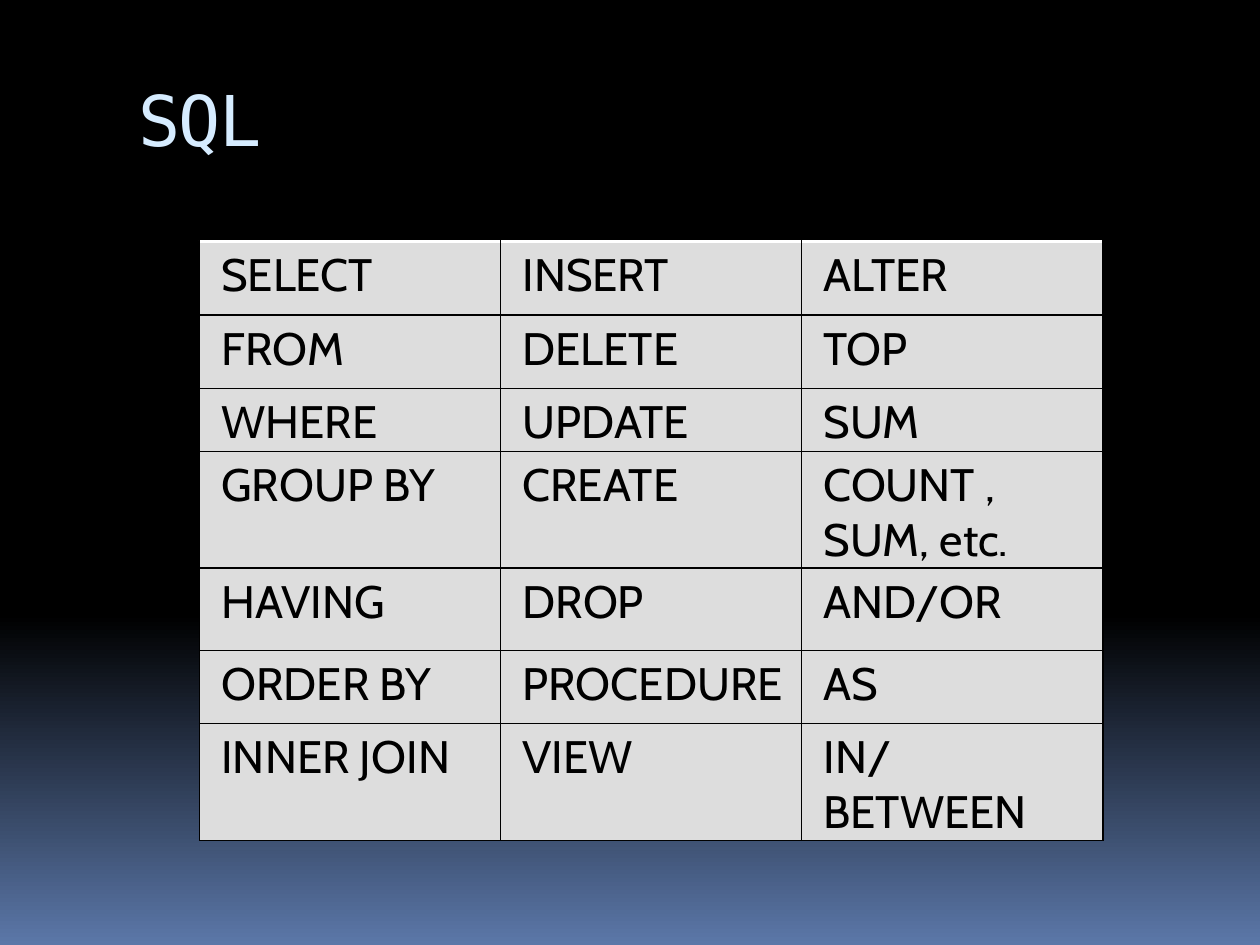
from dataclasses import dataclass

from lxml.etree import SubElement
from pptx import Presentation
from pptx.dml.color import RGBColor
from pptx.enum.shapes import MSO_SHAPE
from pptx.enum.text import MSO_ANCHOR
from pptx.oxml import parse_xml
from pptx.oxml.ns import nsdecls, qn
from pptx.slide import Slide
from pptx.table import _Cell
from pptx.util import Pt

COLORS = {
    "night": "000000",
    "horizon": "5B77A8",
    "title": "D6ECFF",
    "cell": "DDDDDD",
    "text": "000000",
    "border": "000000",
    "top_border": "FFFFFF",
}
COLUMN_WIDTH = 172.08


@dataclass(frozen=True)
class KeywordRow:
    height: float
    keywords: tuple[str, str, str]


@dataclass(frozen=True)
class Border:
    side: str
    color: str
    width: float


@dataclass(frozen=True)
class Bar:
    left: float
    width: float


BARS = [Bar(24.5, 3.6), Bar(21, 2.16), Bar(19.4, 0.72), Bar(17.3, 0.72)]
KEYWORD_ROWS = [
    KeywordRow(42, ("SELECT", "INSERT", "ALTER")),
    KeywordRow(41.9, ("FROM", "DELETE", "TOP")),
    KeywordRow(36, ("WHERE", "UPDATE", "SUM")),
    KeywordRow(66.8, ("GROUP BY", "CREATE", "COUNT , SUM, etc.")),
    KeywordRow(47, ("HAVING", "DROP", "AND/OR")),
    KeywordRow(41.75, ("ORDER BY", "PROCEDURE", "AS")),
    KeywordRow(66.8, ("INNER JOIN", "VIEW", "IN/BETWEEN")),
]


def set_background(slide: Slide) -> None:
    stops = ((0, "night"), (65, "night"), (100, "horizon"))
    stops_xml = "".join(
        f'<a:gs pos="{position * 1000}"><a:srgbClr val="{COLORS[name]}"/></a:gs>'
        for position, name in stops
    )
    background = parse_xml(
        f'<p:bg {nsdecls("p", "a")}><p:bgPr><a:gradFill rotWithShape="1">'
        f'<a:gsLst>{stops_xml}</a:gsLst><a:lin ang="5400000" scaled="0"/>'
        "</a:gradFill><a:effectLst/></p:bgPr></p:bg>"
    )
    slide.element.find(qn("p:cSld")).insert(0, background)


def add_bar(slide: Slide, bar: Bar) -> None:
    shape = slide.shapes.add_shape(
        MSO_SHAPE.RECTANGLE, Pt(bar.left), Pt(53.3), Pt(bar.width), Pt(28.8)
    )
    shape.shadow.inherit = False
    shape.fill.solid()
    shape.fill.fore_color.rgb = RGBColor.from_string(COLORS["night"])
    shape.line.fill.background()


def add_title(slide: Slide, text: str) -> None:
    frame = slide.shapes.add_textbox(Pt(72), Pt(40.32), Pt(612), Pt(72)).text_frame
    frame.word_wrap = True
    frame.vertical_anchor = MSO_ANCHOR.TOP
    frame.margin_top = Pt(3.2)
    paragraph = frame.paragraphs[0]
    run = paragraph.add_run()
    run.text = text
    run.font.size = Pt(40)
    run.font.name = "DejaVu Sans Mono"
    run.font.color.rgb = RGBColor.from_string(COLORS["title"])
    run.font._element.set("spc", "-100")


def add_border(cell: _Cell, border: Border) -> None:
    properties = cell._tc.get_or_add_tcPr()
    line = SubElement(properties, qn(f"a:ln{border.side}"), w=str(Pt(border.width)))
    fill = SubElement(line, qn("a:solidFill"))
    SubElement(fill, qn("a:srgbClr"), val=COLORS[border.color])


def fill_cell(cell: _Cell, text: str, is_first_row: bool) -> None:
    top = Border("T", "top_border", 2.25) if is_first_row else Border("T", "border", 1)
    for border in (
        Border("L", "border", 1),
        Border("R", "border", 1),
        top,
        Border("B", "border", 1),
    ):
        add_border(cell, border)
    cell.fill.solid()
    cell.fill.fore_color.rgb = RGBColor.from_string(COLORS["cell"])
    cell.margin_left = cell.margin_right = Pt(7.2)
    cell.margin_top = Pt(3.6)
    cell.margin_bottom = Pt(0)
    cell.text = text
    paragraph = cell.text_frame.paragraphs[0]
    paragraph._p.get_or_add_pPr().set("marL", str(Pt(5.3)))
    paragraph.space_before = Pt(0 if is_first_row else 7)
    paragraph.font.size = Pt(26)
    paragraph.font.name = "Cabin"
    paragraph.font.color.rgb = RGBColor.from_string(COLORS["text"])


def add_keyword_table(slide: Slide, rows: list[KeywordRow]) -> None:
    column_count = len(rows[0].keywords)
    table = slide.shapes.add_table(
        len(rows),
        column_count,
        Pt(114),
        Pt(138),
        Pt(COLUMN_WIDTH * column_count),
        Pt(sum(row.height for row in rows)),
    ).table
    table.first_row = False
    table.horz_banding = False
    for column in table.columns:
        column.width = Pt(COLUMN_WIDTH)
    for row_index, row in enumerate(rows):
        table.rows[row_index].height = Pt(row.height)
        for column_index, keyword in enumerate(row.keywords):
            fill_cell(table.cell(row_index, column_index), keyword, row_index == 0)


def main() -> None:
    presentation = Presentation()
    presentation.slide_width = Pt(720)
    presentation.slide_height = Pt(540)
    slide = presentation.slides.add_slide(presentation.slide_layouts[6])
    set_background(slide)
    for bar in BARS:
        add_bar(slide, bar)
    add_title(slide, "SQL")
    add_keyword_table(slide, KEYWORD_ROWS)
    presentation.save("out.pptx")


if __name__ == "__main__":
    main()
